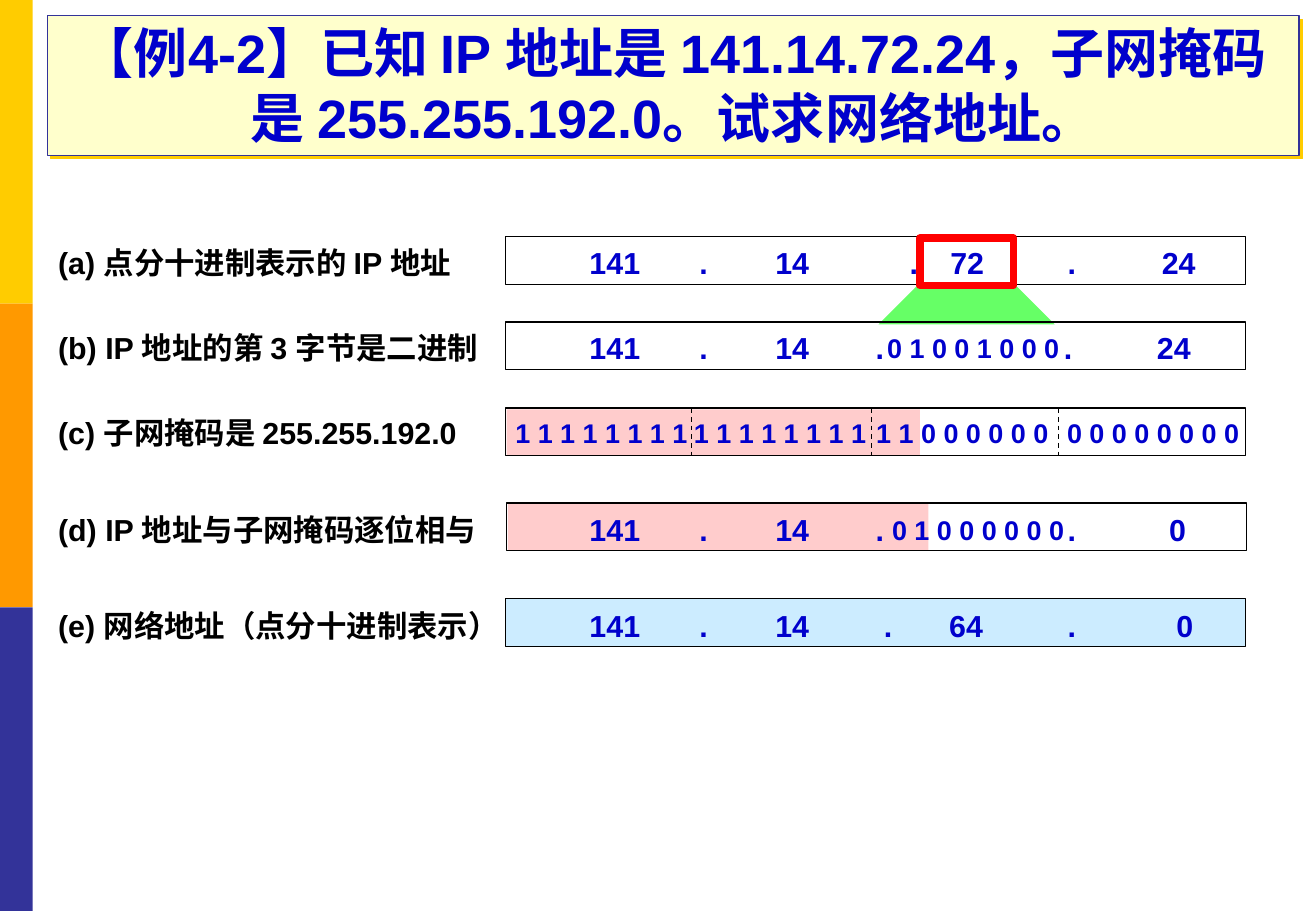
from dataclasses import dataclass

from lxml import etree
from pptx import Presentation
from pptx import util as u
from pptx.dml.color import RGBColor
from pptx.enum import dml, shapes, text
from pptx.oxml.ns import qn

PX = 9144  # EMU per px, 100 px to the inch


@dataclass(frozen=True)
class Theme:
    font: str = "Arial"
    title_size: int = 32
    body_size: int = 18
    bit_size: int = 16
    thin: float = 0.75
    thick: float = 4.5
    blue: str = "0000CC"
    black: str = "000000"
    navy: str = "333399"
    gold: str = "FFCC00"
    orange: str = "FF9900"
    cream: str = "FFFFCC"
    pink: str = "FFCCCC"
    sky: str = "CCECFF"
    green: str = "66FF66"
    red: str = "FF0000"


class Deck:
    def __init__(self, theme, width, height):
        self.t = theme
        self.prs = Presentation()
        self.prs.slide_width, self.prs.slide_height = width * PX, height * PX
        self.s = self.prs.slides.add_slide(self.prs.slide_layouts[6])

    def paint(self, sp, fill=None, line=None, weight=None):
        sp.shadow.inherit = False
        if fill:
            sp.fill.solid()
            sp.fill.fore_color.rgb = RGBColor.from_string(fill)
        else:
            sp.fill.background()
        if line:
            sp.line.color.rgb = RGBColor.from_string(line)
            sp.line.width = u.Pt(weight or self.t.thin)
        else:
            sp.line.fill.background()
        return sp

    def rect(self, x, y, w, h, **style):
        sp = self.s.shapes.add_shape(
            shapes.MSO_SHAPE.RECTANGLE, x * PX, y * PX, w * PX, h * PX)
        return self.paint(sp, **style)

    def polygon(self, points, fill):
        fb = self.s.shapes.build_freeform(*points[0], scale=PX)
        fb.add_line_segments(points[1:], close=True)
        return self.paint(fb.convert_to_shape(), fill=fill)

    def dashed(self, x, y, h):
        ln = self.s.shapes.add_connector(
            shapes.MSO_CONNECTOR.STRAIGHT, x * PX, y * PX, x * PX, (y + h) * PX)
        ln.line.color.rgb = RGBColor.from_string(self.t.black)
        ln.line.width = u.Pt(self.t.thin)
        ln.line.dash_style = dml.MSO_LINE.DASH
        etree.SubElement(ln._element.spPr, qn("a:effectLst"))

    def set_text(self, sp, words, size, color, align, anchor):
        tf = sp.text_frame
        tf.text = words
        tf.word_wrap = True
        tf.vertical_anchor = anchor
        p = tf.paragraphs[0]
        p.alignment = align
        for r in p.runs:
            r.font.name, r.font.size, r.font.bold = self.t.font, u.Pt(size), True
            r.font.color.rgb = RGBColor.from_string(color)

    def title(self, x, y, w, h, words):
        sp = self.rect(x, y, w, h, fill=self.t.cream, line=self.t.navy)
        effects = sp._element.spPr.find(qn("a:effectLst"))
        shadow = etree.SubElement(effects, qn("a:outerShdw"), blurRad="0",
                                  dist=str(u.Pt(2.8)), dir="2700000", algn="ctr",
                                  rotWithShape="0")
        etree.SubElement(shadow, qn("a:srgbClr"), val=self.t.gold)
        self.set_text(sp, words, self.t.title_size, self.t.blue,
                      text.PP_ALIGN.CENTER, text.MSO_ANCHOR.BOTTOM)

    def label(self, x, y, w, words):
        sp = self.s.shapes.add_textbox(x * PX, y * PX, w * PX, 40 * PX)
        self.set_text(sp, words, self.t.body_size, self.t.black,
                      text.PP_ALIGN.LEFT, text.MSO_ANCHOR.TOP)

    def value(self, center, y, words):
        """A number, dot or bit group centred on a column."""
        bits = " " in words
        w = 170 if bits else 70
        sp = self.s.shapes.add_textbox(
            (center - w // 2) * PX, y * PX, w * PX, 40 * PX)
        self.set_text(sp, words, self.t.bit_size if bits else self.t.body_size,
                      self.t.blue, text.PP_ALIGN.CENTER, text.MSO_ANCHOR.MIDDLE)


def main():
    t = Theme()
    d = Deck(t, 1083, 750)

    # Side band
    for i, color in enumerate((t.gold, t.orange, t.navy)):
        d.rect(0, i * 250, 27, 250, fill=color)

    # Title
    d.title(39, 13, 1030, 115,
            "【例4-2】已知 IP 地址是 141.14.72.24，子网掩码是 255.255.192.0。试求网络地址。")

    # Wedge from byte 3 to its bits, and the masked parts
    d.polygon([(757, 233), (834, 233), (868, 267), (723, 267)], t.green)
    d.rect(417, 337, 340, 38, fill=t.pink)
    d.rect(418, 415, 346, 38, fill=t.pink)

    # Rows: box left and top, fill, label width, text top, label, values by column centre
    head = [(506, "141"), (579, "."), (652, "14")]
    ones = " ".join("1" * 8)
    zeros = " ".join("0" * 8)
    rows = [
        (416, 195, None, 349, 196, "(a) 点分十进制表示的 IP 地址",
         head + [(752, "."), (796, "72"), (882, "."), (970, "24")]),
        (416, 265, None, 372, 266, "(b) IP 地址的第 3 字节是二进制",
         head + [(724, "."), (801, "0 1 0 0 1 0 0 0"), (879, "."), (966, "24")]),
        (416, 336, None, 353, 336, "(c) 子网掩码是 255.255.192.0",
         [(495, ones), (642, ones), (792, "1 1 0 0 0 0 0 0"), (949, zeros)]),
        (417, 414, None, 369, 416, "(d) IP 地址与子网掩码逐位相与",
         head + [(724, "."), (805, "0 1 0 0 0 0 0 0"), (882, "."), (969, "0")]),
        (416, 493, t.sky, 388, 495, "(e) 网络地址（点分十进制表示）",
         head + [(731, "."), (795, "64"), (882, "."), (975, "0")]),
    ]
    for left, top, fill, label_w, text_top, words, values in rows:
        d.rect(left, top, 609, 39, fill=fill, line=t.black)
        d.label(38, text_top, label_w, words)
        for center, value in values:
            d.value(center, text_top, value)

    # Byte borders in the mask
    for x in (569, 717, 871):
        d.dashed(x, 336, 39)

    # Frame around byte 3
    d.rect(757, 196, 77, 39, line=t.red, weight=t.thick)

    d.prs.save("out.pptx")


if __name__ == "__main__":
    main()
